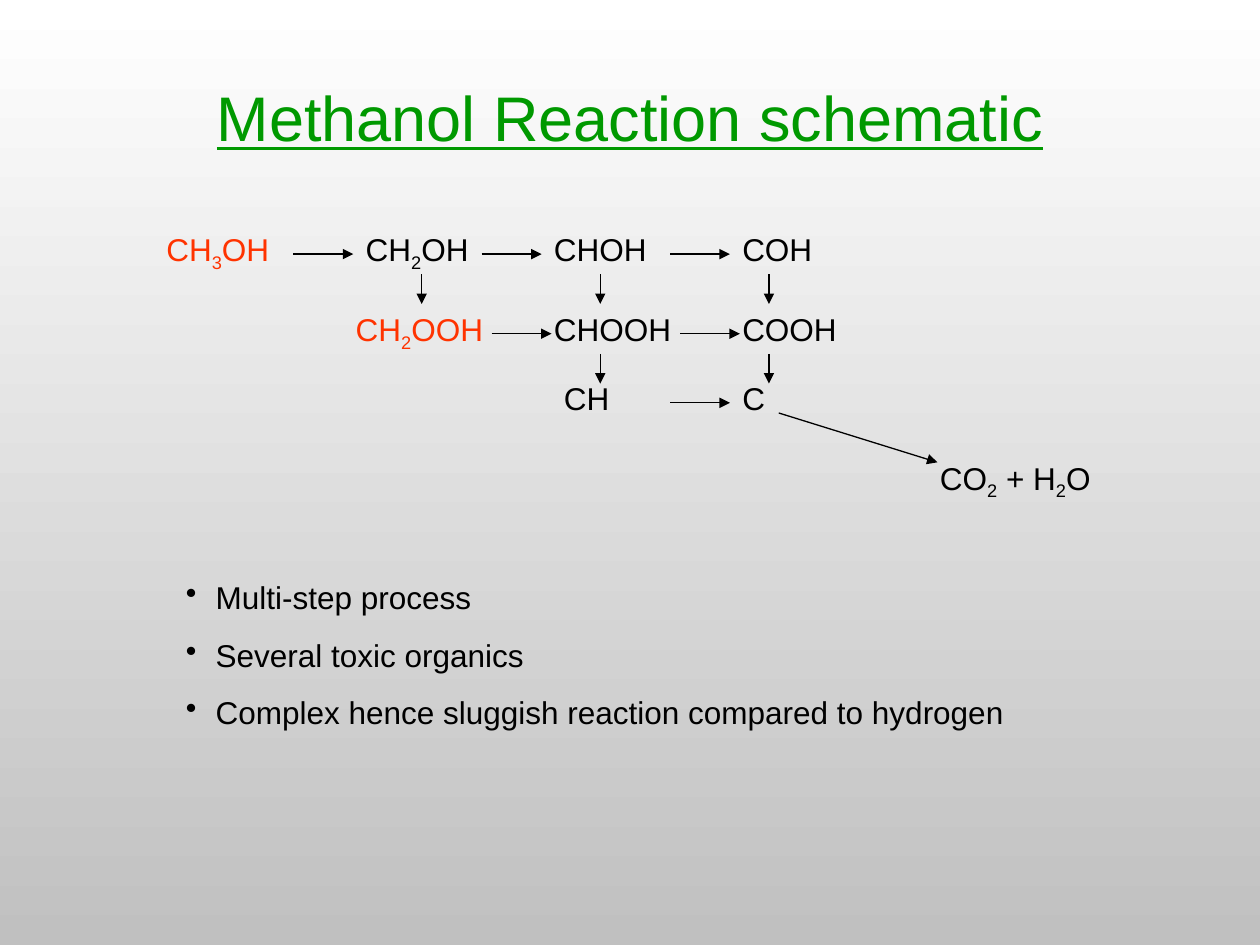
from itertools import groupby

from lxml.etree import SubElement
from pptx import Presentation
from pptx.dml.color import RGBColor
from pptx.enum.shapes import MSO_CONNECTOR
from pptx.enum.text import MSO_ANCHOR, MSO_AUTO_SIZE, PP_ALIGN
from pptx.oxml.ns import qn
from pptx.util import Pt

BLACK, RED, GREEN = "000000", "FF3300", "009900"
COLUMNS = [88] + [201.9 + 107.6 * step for step in range(3)] + [530]
ROWS = [128, 173.5, 213, 258.5]
SHIFT = 5.7
FORMULA_WIDTH = 102

# text, column, row, horizontal shift, colour
FORMULAS = [
    ("CH3OH", 0, 0, 0, RED),
    ("CH2OH", 1, 0, 0, BLACK),
    ("CHOH", 2, 0, 0, BLACK),
    ("COH", 3, 0, 0, BLACK),
    ("CH2OOH", 1, 1, -SHIFT, RED),
    ("CHOOH", 2, 1, 0, BLACK),
    ("COOH", 3, 1, 0, BLACK),
    ("CH", 2, 2, SHIFT, BLACK),
    ("C", 3, 2, 0, BLACK),
    ("CO2 + H2O", 4, 3, 0, BLACK),
]
# target column, row, horizontal shift
STEPS_RIGHT = [(1, 0, 0), (2, 0, 0), (3, 0, 0),
               (2, 1, SHIFT), (3, 1, SHIFT), (3, 2, 0)]
# x, source row
STEPS_DOWN = [(241, 0), (343, 0), (439.4, 0), (343, 1), (439.4, 1)]
POINTS = [
    "Multi-step process",
    "Several toxic organics",
    "Complex hence sluggish reaction compared to hydrogen",
]


def color(hex_value):
    return RGBColor.from_string(hex_value)


class SlideBuilder:
    font_name = "Arial"
    body_size = 18
    line_width = 0.75

    def __init__(self, slide):
        self.slide = slide

    def background(self, top, bottom):
        fill = self.slide.background.fill
        fill.gradient()
        fill.gradient_angle = 270
        for stop, position, value in zip(fill.gradient_stops, (0, 1), (top, bottom)):
            stop.position = position
            stop.color.rgb = color(value)

    def text_frame(self, left, top, width, height):
        box = self.slide.shapes.add_textbox(Pt(left), Pt(top), Pt(width), Pt(height))
        frame = box.text_frame
        frame.word_wrap = True
        return frame

    def run(self, paragraph, text, hex_value, size=body_size):
        run = paragraph.add_run()
        run.text = text
        run.font.name = self.font_name
        run.font.size = Pt(size)
        run.font.color.rgb = color(hex_value)
        return run

    def title(self, text, left, top, width, height):
        frame = self.text_frame(left, top, width, height)
        frame.vertical_anchor = MSO_ANCHOR.MIDDLE
        paragraph = frame.paragraphs[0]
        paragraph.alignment = PP_ALIGN.CENTER
        self.run(paragraph, text, GREEN, 36).font.underline = True

    def formula(self, text, left, top, hex_value):
        """Add a chemical formula with its digits set as subscripts."""
        has_subscript = any(map(str.isdigit, text))
        frame = self.text_frame(left, top, FORMULA_WIDTH, 31.7 if has_subscript else 28.8)
        frame.auto_size = MSO_AUTO_SIZE.SHAPE_TO_FIT_TEXT
        for is_subscript, characters in groupby(text, str.isdigit):
            run = self.run(frame.paragraphs[0], "".join(characters), hex_value)
            if is_subscript:
                run.font._element.set("baseline", "-25000")

    def arrow(self, start_x, start_y, end_x, end_y):
        connector = self.slide.shapes.add_connector(
            MSO_CONNECTOR.STRAIGHT, Pt(start_x), Pt(start_y), Pt(end_x), Pt(end_y))
        connector.line.color.rgb = color(BLACK)
        connector.line.width = Pt(self.line_width)
        SubElement(connector.line._get_or_add_ln(), qn("a:tailEnd"), type="triangle")
        SubElement(connector._element.spPr, qn("a:effectLst"))

    def bullets(self, texts, left, top, width, height, indent=17):
        frame = self.text_frame(left, top, width, height)
        frame.auto_size = MSO_AUTO_SIZE.SHAPE_TO_FIT_TEXT
        for index, text in enumerate(texts):
            paragraph = frame.add_paragraph() if index else frame.paragraphs[0]
            if index:
                paragraph.space_before = Pt(11.25)
            properties = paragraph._p.get_or_add_pPr()
            properties.set("marL", str(Pt(indent)))
            properties.set("indent", str(Pt(-indent)))
            bullet_color = SubElement(properties, qn("a:buClr"))
            SubElement(bullet_color, qn("a:srgbClr"), val=BLACK)
            SubElement(properties, qn("a:buChar"), char="•")
            self.run(paragraph, text, BLACK)


def main():
    presentation = Presentation()
    presentation.slide_width, presentation.slide_height = Pt(720), Pt(540)
    builder = SlideBuilder(presentation.slides.add_slide(presentation.slide_layouts[6]))

    builder.background("FFFFFF", "C0C0C0")
    builder.title("Methanol Reaction schematic", 36, 21.6, 648, 90)
    for text, column, row, shift, hex_value in FORMULAS:
        builder.formula(text, COLUMNS[column] + shift, ROWS[row], hex_value)
    for column, row, shift in STEPS_RIGHT:
        end_x, y = COLUMNS[column] + shift, ROWS[row] + 17.2
        builder.arrow(end_x - 34.2, y, end_x, y)
    for x, row in STEPS_DOWN:
        start_y = ROWS[row] + 28.7
        builder.arrow(x, start_y, x, start_y + 17)
    builder.arrow(445, 236, 535.7, 264.2)
    builder.bullets(POINTS, 99.2, 327, 561.6, 95)

    presentation.save("out.pptx")


if __name__ == "__main__":
    main()
